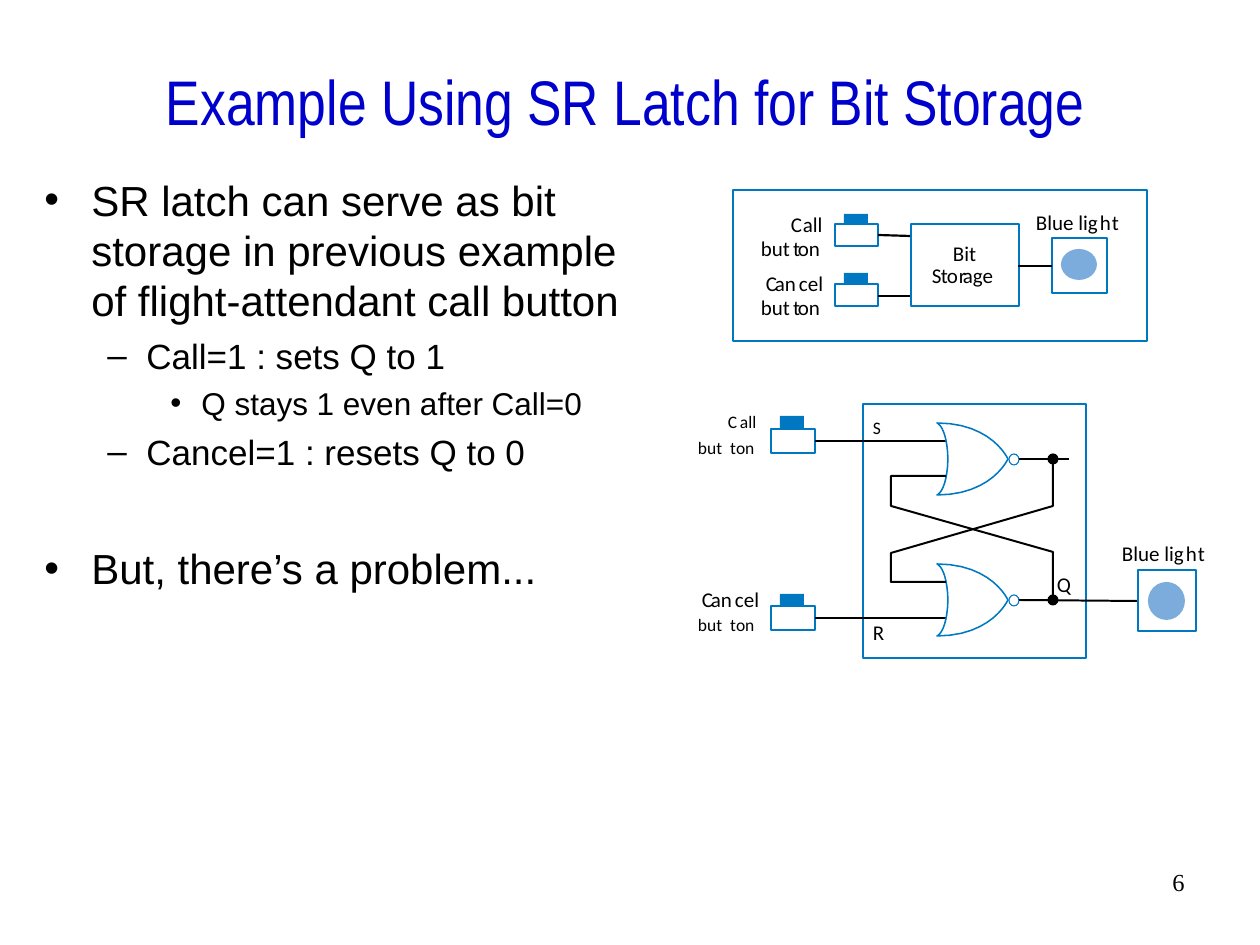
"""Build a slide showing an SR latch used as bit storage for a call button."""
import lxml.etree
import pptx
import pptx.dml.color
import pptx.enum.shapes
import pptx.enum.text
import pptx.oxml.ns
import pptx.util

PX = 7257
BLUE, LIGHT, BLACK, WHITE = "0078C1", "7BACDC", "000000", "FFFFFF"
RECT = pptx.enum.shapes.MSO_SHAPE.RECTANGLE
OVAL = pptx.enum.shapes.MSO_SHAPE.OVAL
ALIGN = pptx.enum.text.PP_ALIGN
qn = pptx.oxml.ns.qn


def paint(fill, color):
    """Fill with a hex colour, or with nothing."""
    if color is None:
        fill.background()
    else:
        fill.solid()
        fill.fore_color.rgb = pptx.dml.color.RGBColor.from_string(color)


def write(p, text, size, font, color=BLACK):
    """Add one formatted run to a paragraph."""
    r = p.add_run()
    r.text = text
    for name, value in {"size": pptx.util.Pt(size), "name": font}.items():
        setattr(r.font, name, value)
    paint(r.font.fill, color)


prs = pptx.Presentation()
prs.slide_width, prs.slide_height = 1260 * PX, 945 * PX
s = prs.slides.add_slide(prs.slide_layouts[6])

headings = [
    (935, 861, 262, 63, "6", 14, "Times New Roman", BLACK, ALIGN.RIGHT, "TOP"),
    (32, 42, 1187, 116, "Example Using SR Latch for Bit Storage", 36,
     "Arial Narrow", "0000CC", ALIGN.CENTER, "MIDDLE"),
]
for x, y, w, h, text, size, font, color, align, anchor in headings:
    tf = s.shapes.add_textbox(x * PX, y * PX, w * PX, h * PX).text_frame
    tf.word_wrap = True
    tf.vertical_anchor = pptx.enum.text.MSO_ANCHOR[anchor]
    p = tf.paragraphs[0]
    p.alignment = align
    write(p, text, size, font, color)

levels = [(24, 47, 47, "•"), (20, 102, 39, "–"), (18, 157, 31, "•")]
bullets = [
    (0, 6, "SR latch can serve as bit storage in previous example of flight-attendant call button"),
    (1, 5, "Call=1 : sets Q to 1"),
    (2, 4.5, "Q stays 1 even after Call=0"),
    (1, 5, "Cancel=1 : resets Q to 0"),
    (0, 40, "But, there’s a problem..."),
]
tf = s.shapes.add_textbox(32 * PX, 168 * PX, 609 * PX, 566 * PX).text_frame
tf.word_wrap = True
for i, (level, before, text) in enumerate(bullets):
    p = tf.add_paragraph() if i else tf.paragraphs[0]
    size, left, hang, mark = levels[level]
    p.level = level
    p.space_before = pptx.util.Pt(before)
    pPr = p._p.get_or_add_pPr()
    pPr.set("marL", str(left * PX))
    pPr.set("indent", str(-hang * PX))
    lxml.etree.SubElement(pPr, qn("a:buFont")).set("typeface", "Arial")
    lxml.etree.SubElement(pPr, qn("a:buChar")).set("char", mark)
    write(p, text, size, "Arial")

shapes = [
    (RECT, 733, 190, 414, 151, None, BLUE, 0.88),
    (RECT, 911, 224, 108, 82, None, BLUE, 0.88),
    (RECT, 1052, 238, 55, 55, None, BLUE, 0.88),
    (OVAL, 1061, 249, 36, 31, LIGHT, None, 0),
    (RECT, 863, 404, 223, 254, None, BLUE, 0.88),
    (RECT, 1138, 570, 58, 61, None, BLUE, 0.88),
    (OVAL, 1148, 582, 37, 38, LIGHT, None, 0),
]
for x, y, w, h, cap in [(835, 224, 43, 22, 10), (835, 284, 43, 22, 11),
                        (771, 429, 44, 24, 13), (771, 606, 44, 24, 12)]:
    shapes += [(RECT, x, y, w, h, WHITE, BLUE, 0.88),
               (RECT, x + 9, y - cap, 24, cap, BLUE, None, 0)]
for y in (459, 600):
    shapes += [(OVAL, 1009, y - 5, 10, 11, WHITE, BLUE, 0.62),
               (OVAL, 1048, y - 5, 10, 10, BLACK, BLACK, 0.62)]
for kind, x, y, w, h, fill, line, width in shapes:
    sp = s.shapes.add_shape(kind, x * PX, y * PX, w * PX, h * PX)
    sp.shadow.inherit = False
    paint(sp.fill, fill)
    paint(sp.line.fill, line)
    if line:
        sp.line.width = pptx.util.Pt(width)

wires = [
    (878, 235, 910, 236, 1.25), (1018, 266, 1052, 266, 1.25),
    (878, 296, 910, 296, 1.25), (815, 441, 946, 441, 1.13),
    (1019, 459, 1069, 459, 1.13), (815, 618, 946, 618, 1.13),
    (1019, 600, 1137, 601, 1.13),
]
for x1, y1, x2, y2, width in wires:
    sp = s.shapes.add_connector(pptx.enum.shapes.MSO_CONNECTOR.STRAIGHT,
                                x1 * PX, y1 * PX, x2 * PX, y2 * PX)
    paint(sp.line.fill, BLACK)
    sp.line.width = pptx.util.Pt(width)
    lxml.etree.SubElement(sp._element.spPr, qn("a:effectLst"))

half = []
for curve in [((71, 0), (71, 0), (55, 36), (0, 36)),
              ((0, 36), (0, 36), (10, 33), (11, 0))]:
    for i in range(13):
        t = i / 12
        weights = ((1 - t) ** 3, 3 * t * (1 - t) ** 2, 3 * t * t * (1 - t), t ** 3)
        half.append(tuple(sum(k * pt[axis] for k, pt in zip(weights, curve))
                          for axis in (0, 1)))
gate = half + [(x, -y) for x, y in reversed(half)]
outlines = [([(937 + x, mid + y) for x, y in gate], True, WHITE, BLUE, 0.88)
            for mid in (459, 600)]
outlines += [
    ([(1053, 460), (1053, 506), (891, 553), (891, 582), (946, 582)], False, None, BLACK, 1.13),
    ([(946, 476), (891, 476), (891, 506), (1053, 552), (1053, 599)], False, None, BLACK, 1.13),
]
for points, closed, fill, line, width in outlines:
    points = [(x * PX, y * PX) for x, y in points]
    builder = s.shapes.build_freeform(*points[0])
    builder.add_line_segments(points[1:], close=closed)
    sp = builder.convert_to_shape()
    sp.shadow.inherit = False
    paint(sp.fill, fill)
    paint(sp.line.fill, line)
    sp.line.width = pptx.util.Pt(width)

label_format = {
    "margin_left": 0, "margin_right": 0, "margin_top": 0, "margin_bottom": 0,
    "word_wrap": False, "auto_size": pptx.enum.text.MSO_AUTO_SIZE.SHAPE_TO_FIT_TEXT,
}
button_12 = [(761, 34, "but"), (793, 8, "t"), (798, 25, "on")]
button_10 = [(698, 28, "but"), (730, 6, "t"), (736, 21, "on")]
cancel = [(0, 14, "C"), (9, 25, "an"), (33, 10, "c"), (42, 18, "el")]
light = [(0, 73, "Blue lig"), (64, 13, "h"), (76, 8, "t")]
labels = [
    (0, 212, 12, [(791, 14, "C"), (803, 23, "all")]),
    (0, 236, 12, button_12),
    (766, 271, 12, cancel),
    (0, 295, 12, button_12),
    (0, 241, 12, [(953, 26, "Bit")]),
    (932, 263, 12, [(0, 11, "S"), (9, 8, "t"), (15, 13, "o"), (27, 9, "r"), (31, 37, "age")]),
    (1036, 210, 12, light),
    (0, 411, 10, [(728, 11, "C"), (740, 19, "all")]),
    (0, 437, 10, button_10),
    (702, 587, 12, cancel),
    (0, 614, 10, button_10),
    (1122, 541, 12, light),
    (0, 417, 10, [(873, 10, "S")]),
    (0, 620, 12, [(873, 13, "R")]),
    (0, 572, 12, [(1057, 16, "Q")]),
]
for left, y, size, parts in labels:
    for x, w, text in parts:
        sp = s.shapes.add_textbox((left + x) * PX, y * PX, w * PX, size * 2 * PX)
        tf = sp.text_frame
        for name, value in label_format.items():
            setattr(tf, name, value)
        write(tf.paragraphs[0], text, size, "Calibri")

prs.save("out.pptx")
